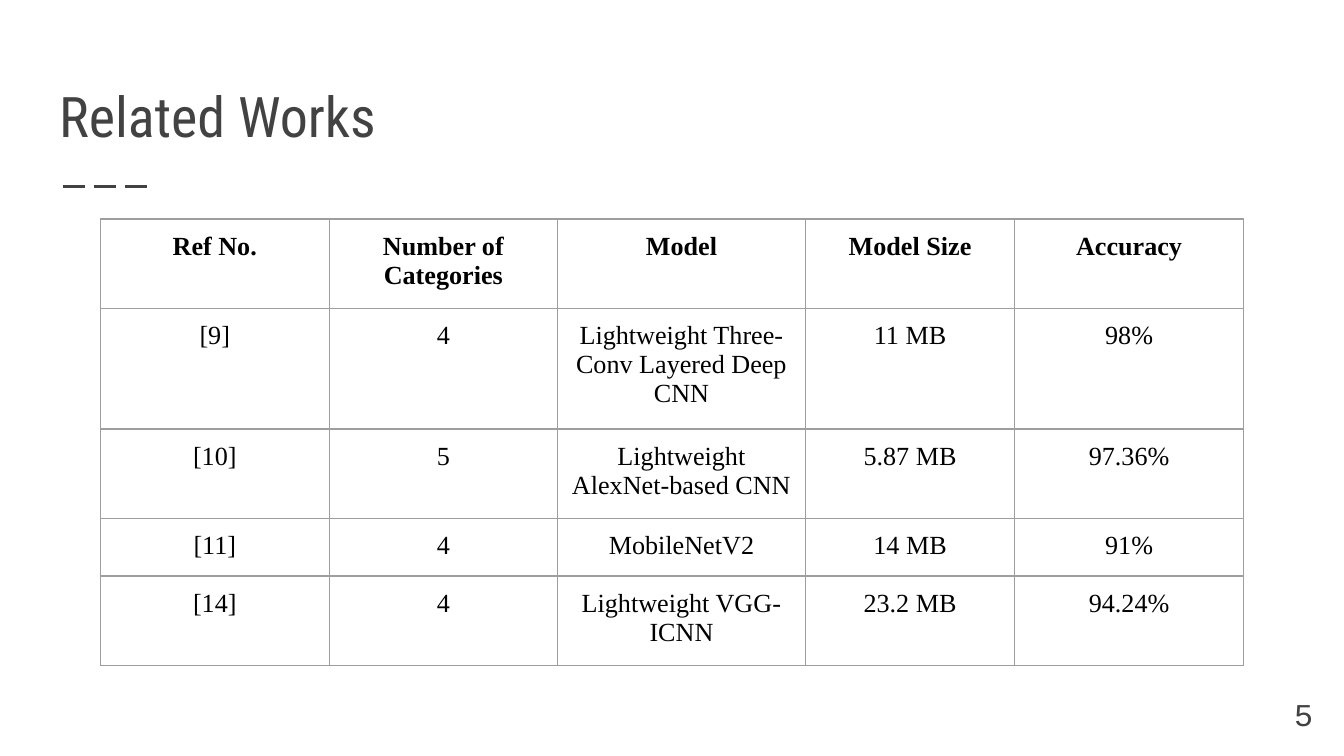
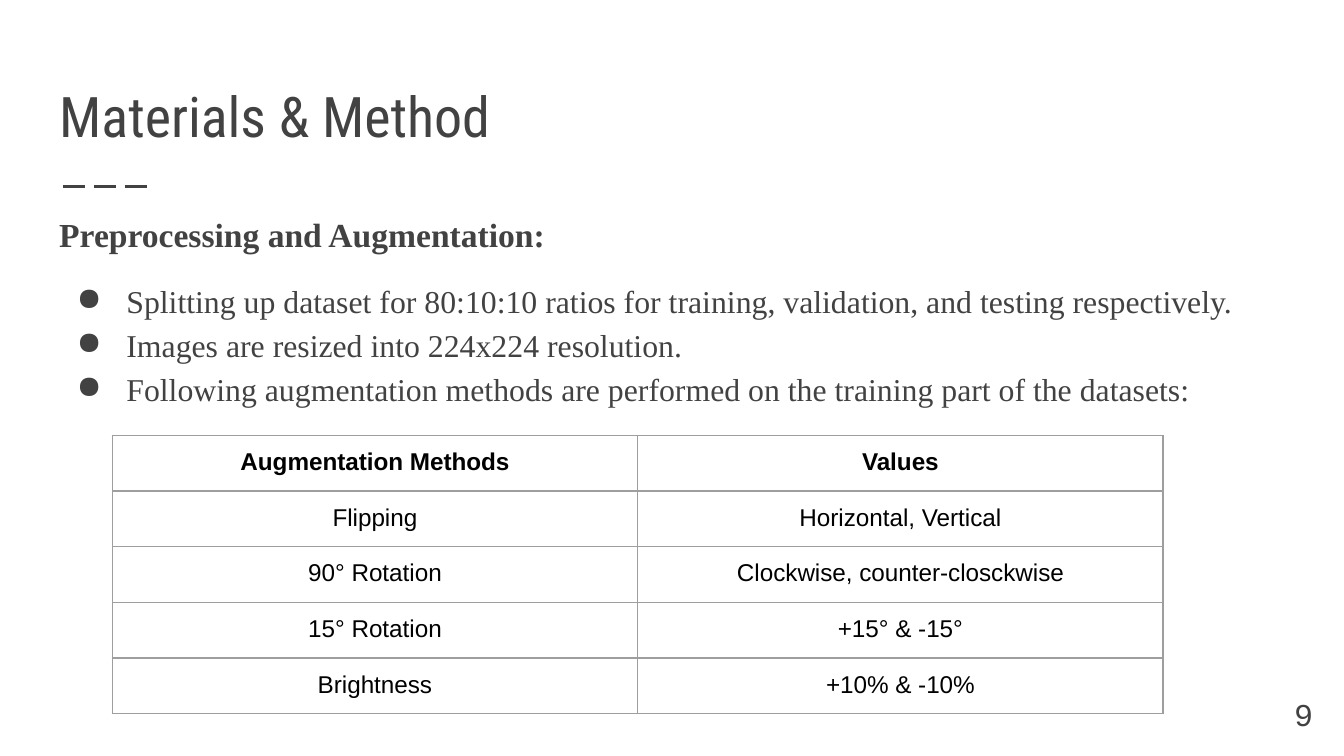
"""Build two slides: related works and materials & method."""
from dataclasses import dataclass

from lxml import etree
from pptx import Presentation
from pptx import util as u
from pptx.dml import color
from pptx.enum import dml, shapes, text
from pptx.oxml import ns

Cm, Pt = u.Cm, u.Pt
LEFT, CENTER, RIGHT = text.PP_ALIGN.LEFT, text.PP_ALIGN.CENTER, text.PP_ALIGN.RIGHT
TOP, MIDDLE, BOTTOM = text.MSO_ANCHOR.TOP, text.MSO_ANCHOR.MIDDLE, text.MSO_ANCHOR.BOTTOM


@dataclass(frozen=True)
class Theme:
    paper: str = "FFFFFF"
    ink: str = "424242"
    cell_ink: str = "000000"
    grid: str = "9E9E9E"
    title_font: str = "Roboto Condensed"
    body_font: str = "Times New Roman"
    table_font: str = "Arial"
    number_font: str = "Courier New"
    title: int = 30
    heading: int = 18
    body: int = 17
    works_table: int = 14
    methods_table: int = 13
    inset: float = 0.25


T = Theme()

WORKS = {
    "at": (1.9, 4.14),
    "cols": (4.32, 4.32, 4.68, 3.96, 4.32),
    "heights": (1.6, 2.14, 1.6, 1.04, 1.6),
    "font": T.body_font,
    "size": T.works_table,
    "rows": [
        ("Ref No.", "Number of Categories", "Model", "Model Size", "Accuracy"),
        ("[9]", "4", "Lightweight Three-Conv Layered Deep CNN", "11 MB", "98%"),
        ("[10]", "5", "Lightweight AlexNet-based CNN", "5.87 MB", "97.36%"),
        ("[11]", "4", "MobileNetV2", "14 MB", "91%"),
        ("[14]", "4", "Lightweight VGG-ICNN", "23.2 MB", "94.24%"),
    ],
}
METHODS = {
    "at": (2.12, 8.23),
    "cols": (9.93,) * 2,
    "heights": (1.02,) * 5,
    "font": T.table_font,
    "size": T.methods_table,
    "rows": [
        ("Augmentation Methods", "Values"),
        ("Flipping", "Horizontal, Vertical"),
        ("90° Rotation", "Clockwise, counter-closckwise"),
        ("15° Rotation", "+15° & -15°"),
        ("Brightness", "+10% & -10%"),
    ],
}
SLIDES = [
    {"title": "Related Works", "number": "5", "table": WORKS},
    {
        "title": "Materials & Method",
        "number": "9",
        "table": METHODS,
        "heading": "Preprocessing and Augmentation:",
        "bullets": [
            "Splitting up dataset for 80:10:10 ratios for training, validation, and testing respectively.",
            "Images are resized into 224x224 resolution.",
            "Following augmentation methods are performed on the training part of the datasets:",
        ],
    },
]


def rgb(value):
    return color.RGBColor.from_string(value)


def add_text(tf, content, font=T.body_font, size=T.body, ink=T.ink, bold=False,
             align=LEFT, spacing=None, before=None, bullet=None):
    p = tf.add_paragraph() if tf.text else tf.paragraphs[0]
    p.alignment = align
    if bullet:
        pPr = p._p.get_or_add_pPr()
        pPr.set("marL", str(Cm(1.27)))
        pPr.set("indent", str(Cm(-0.94)))
        clr = etree.SubElement(pPr, ns.qn("a:buClr"))
        etree.SubElement(clr, ns.qn("a:srgbClr"), val=ink)
        etree.SubElement(pPr, ns.qn("a:buChar"), char=bullet)
    if spacing:
        p.line_spacing = spacing
    if before:
        p.space_before = Pt(before)
    r = p.add_run()
    r.text = content
    r.font.name, r.font.size, r.font.bold = font, Pt(size), bold
    r.font.color.rgb = rgb(ink)


def add_box(s, left, top, width, height, anchor=TOP):
    tf = s.shapes.add_textbox(Cm(left), Cm(top), Cm(width), Cm(height)).text_frame
    tf.word_wrap = True
    tf.vertical_anchor = anchor
    tf.margin_left = tf.margin_right = tf.margin_top = tf.margin_bottom = Cm(T.inset)
    return tf


def style_cell(cell):
    cell.margin_left = cell.margin_right = Cm(T.inset)
    cell.margin_top = cell.margin_bottom = Cm(T.inset)
    tcPr = cell._tc.get_or_add_tcPr()
    for side in ("lnL", "lnR", "lnT", "lnB"):
        ln = etree.SubElement(tcPr, ns.qn(f"a:{side}"), w=str(Pt(0.75)))
        fill = etree.SubElement(ln, ns.qn("a:solidFill"))
        etree.SubElement(fill, ns.qn("a:srgbClr"), val=T.grid)
    cell.fill.background()


def add_table(s, spec):
    rows, cols, heights = spec["rows"], spec["cols"], spec["heights"]
    left, top = spec["at"]
    table = s.shapes.add_table(len(rows), len(cols), Cm(left), Cm(top),
                               Cm(sum(cols)), Cm(sum(heights))).table
    table.first_row = table.horz_banding = False
    for column, width in zip(table.columns, cols):
        column.width = Cm(width)
    for row, height in zip(table.rows, heights):
        row.height = Cm(height)
    for i, row in enumerate(rows):
        for j, content in enumerate(row):
            cell = table.cell(i, j)
            style_cell(cell)
            add_text(cell.text_frame, content, font=spec["font"], size=spec["size"],
                     ink=T.cell_ink, bold=i == 0, align=CENTER)


def add_frame(s, title, number):
    s.background.fill.solid()
    s.background.fill.fore_color.rgb = rgb(T.paper)
    rule = s.shapes.add_connector(shapes.MSO_CONNECTOR.STRAIGHT,
                                  Cm(1.19), Cm(3.53), Cm(2.9), Cm(3.53))
    rule.line.color.rgb = rgb(T.ink)
    rule.line.width = Pt(1.5)
    rule.line.dash_style = dml.MSO_LINE.LONG_DASH
    etree.SubElement(rule._element.spPr, ns.qn("a:effectLst"))
    add_text(add_box(s, 0.87, 1.04, 23.67, 2.03, BOTTOM), title,
             font=T.title_font, size=T.title)
    add_text(add_box(s, 23.55, 12.95, 1.52, 1.09, MIDDLE), number,
             font=T.number_font, align=RIGHT)


def add_body(s, heading, bullets):
    tf = add_box(s, 0.87, 3.68, 23.67, 8.26)
    add_text(tf, heading, size=T.heading, bold=True, spacing=1.15)
    for i, item in enumerate(bullets):
        add_text(tf, item, spacing=1.15, before=0 if i else 12, bullet="●")


def main():
    prs = Presentation()
    prs.slide_width, prs.slide_height = Cm(25.4), Cm(14.29)
    for content in SLIDES:
        s = prs.slides.add_slide(prs.slide_layouts[6])
        add_frame(s, content["title"], content["number"])
        if "bullets" in content:
            add_body(s, content["heading"], content["bullets"])
        add_table(s, content["table"])
    prs.save("out.pptx")


if __name__ == "__main__":
    main()
